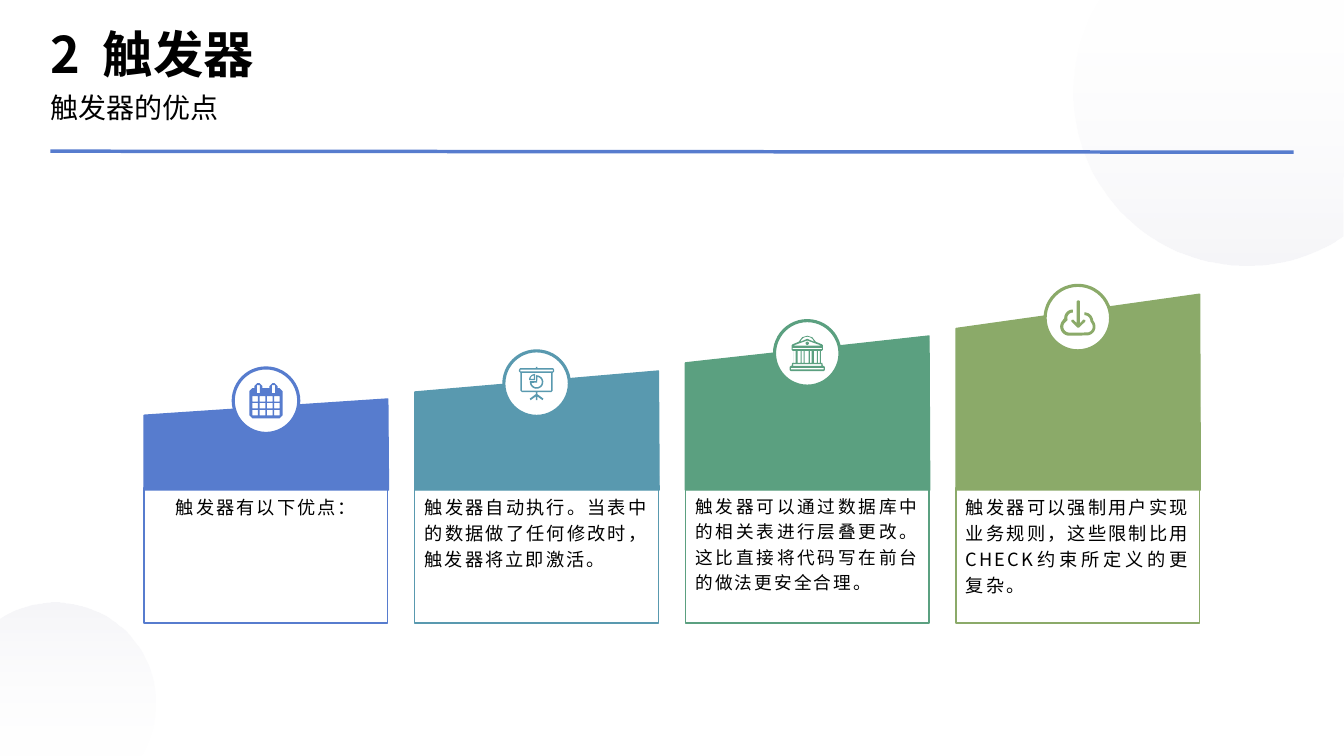
from math import cos, radians, sin

from lxml.etree import SubElement
from pptx import Presentation
from pptx.dml.color import RGBColor
from pptx.enum.shapes import MSO_CONNECTOR, MSO_SHAPE
from pptx.enum.text import MSO_ANCHOR, MSO_AUTO_SIZE, PP_ALIGN
from pptx.oxml.ns import qn
from pptx.util import Pt

FONT = "Noto Sans CJK SC"
BLACK = RGBColor(0x00, 0x00, 0x00)
WHITE = RGBColor(0xFF, 0xFF, 0xFF)
HAZE = RGBColor(0xD8, 0xD8, 0xE4)
BLUE = RGBColor(0x57, 0x7C, 0xCE)
TEAL = RGBColor(0x59, 0x99, 0xAF)
GREEN = RGBColor(0x5B, 0xA0, 0x80)
OLIVE = RGBColor(0x8B, 0xAA, 0x69)

CARD_LEFT, CARD_PITCH, CARD_W = 103, 193.3, 174
BOX_TOP, BOX_H, WEDGE_BOTTOM = 348.5, 96.5, 350
BADGE = 46.8
ICON_UNIT = 0.72


def apply(obj, values):
    for name, value in values.items():
        setattr(obj, name, value)


def arc(cx, cy, r, start, end, steps=16):
    angles = [radians(start + (end - start) * i / steps) for i in range(steps + 1)]
    return [(cx + r * cos(a), cy + r * sin(a)) for a in angles]


def box(x, y, w, h):
    return [(x, y), (x + w, y), (x + w, y + h), (x, y + h)]


def mirrored(half, width):
    return half + [(width - x, y) for x, y in reversed(half)]


def calendar():
    body = mirrored([(20, 5), (20, 3), (23, 0), (25, 0), (28, 3), (28, 5),
                     (30, 5), (33, 8), (33, 32), (30, 35)], 33)
    cells = [box(3 + 7.2 * i, 13 + 6.8 * j, 5.6, 5.4) for j in range(3) for i in range(4)]
    return [body, *cells, box(7.5, 2, 3, 8), box(22.5, 2, 3, 8)]


def board():
    frame = mirrored([(18.2, 0), (18.2, 1.3), (34, 1.3), (35, 3), (35, 4.5),
                      (33.5, 6), (33.5, 23.5), (32, 25), (18.2, 25), (18.2, 27),
                      (24.3, 31.5), (23.5, 33), (18.2, 29.3), (18.2, 33)], 35)
    pie = arc(17.5, 15, 6.7, -90, 180) + [(11, 14), (17, 14), (17, 8)]
    pie_hole = arc(17.5, 15, 5.2, -80, 170) + [(18, 15.5)]
    slice_ = arc(16, 13, 6, 180, 270) + [(16, 13)]
    slice_hole = arc(14.7, 11.8, 3.2, 180, 270) + [(14.7, 11.8)]
    return [frame, box(3, 6, 29, 17.5), box(1.3, 2.8, 32.4, 1.5),
            pie, pie_hole, slice_, slice_hole]


def bank():
    outline = mirrored([(17.5, 0), (22.5, 1.5), (26, 6), (32, 8.5), (33, 9.5),
                        (33, 14), (32, 15), (31, 15), (31, 27), (32.5, 27),
                        (33, 30), (34, 30), (35, 31), (35, 34), (34, 35)], 35)
    bays = [box(x, 15, w, 12) for x, w in
            [(4, 2), (8, 3), (12, 2), (15, 4), (20, 2), (24, 3), (28, 2)]]
    dome = arc(17.5, 8, 7, 197, 343) + [(17.5, 3)]
    roof = [(3.5, 9.8), (17.5, 4.8), (31.5, 9.8)]
    return [outline, *bays, dome, roof, arc(17.5, 7.5, 1.6, 0, 360),
            box(3, 12, 29, 1.2), box(3.5, 28.2, 28, 1.8), box(1.3, 32, 32.4, 1.5)]


def cloud():
    outer = (arc(12.5, 17.5, 8.5, 270, 180) + arc(9, 26, 9, 220, 90)
             + arc(26.3, 26, 8.7, 90, -40) + arc(24, 20.5, 8.7, -10, -90))
    inner = (arc(24, 20.5, 5.9, -90, 0) + arc(26.5, 26, 5.8, -40, 90)
             + arc(9, 26, 5.9, 90, 230) + arc(12.5, 17.5, 5.5, 160, 270))
    arrow = mirrored([(18.7, 0), (19.6, 1), (19.6, 22.5), (23, 19),
                      (25, 19.5), (24.8, 21), (18.7, 27)], 36)
    return [outer + inner, arrow]


def add_outline(sl, contours):
    paths = [[(Pt(x), Pt(y)) for x, y in points] for points in contours]
    fb = sl.shapes.build_freeform(*paths[0][0])
    for i, path in enumerate(paths):
        if i:
            fb.move_to(*path[0])
        fb.add_line_segments(path[1:], close=True)
    sp = fb.convert_to_shape()
    sp.shadow.inherit = False
    return sp


def paint(sp, fill=None, line=None, width=1):
    if fill is None:
        sp.fill.background()
    else:
        sp.fill.solid()
        sp.fill.fore_color.rgb = fill
    if line is None:
        sp.line.fill.background()
    else:
        sp.line.color.rgb = line
        sp.line.width = Pt(width)


def add_preset(sl, kind, x, y, w, h, **colors):
    sp = sl.shapes.add_shape(kind, Pt(x), Pt(y), Pt(w), Pt(h))
    sp.shadow.inherit = False
    paint(sp, **colors)


def add_haze(sl, contour, angle):
    sp = add_outline(sl, [contour])
    paint(sp)
    sp.fill.gradient()
    sp.fill.gradient_angle = angle
    for stop, color in zip(sp.fill.gradient_stops, (WHITE, HAZE)):
        stop.color.rgb = color
    for clr, alpha in zip(sp._element.iter(qn("a:srgbClr")), ("10000", "24000")):
        SubElement(clr, qn("a:alpha"), val=alpha)


def add_rule(sl):
    cn = sl.shapes.add_connector(MSO_CONNECTOR.STRAIGHT, Pt(36), Pt(108), Pt(924), Pt(108.7))
    apply(cn.line, {"width": Pt(2.5)})
    cn.line.color.rgb = BLUE
    SubElement(cn._element.spPr, qn("a:effectLst"))


def write(sp, frame, para, runs):
    tf = sp.text_frame
    apply(tf, {"word_wrap": True, "auto_size": MSO_AUTO_SIZE.NONE, **frame})
    p = tf.paragraphs[0]
    apply(p, {"space_before": Pt(0), **para})
    for text, size, bold, spacing in runs:
        r = p.add_run()
        r.text = text
        apply(r.font, {"size": Pt(size), "bold": bold, "name": FONT})
        r.font.color.rgb = BLACK
        rPr = r._r.get_or_add_rPr()
        rPr.set("spc", str(int(spacing * 100)))
        SubElement(rPr, qn("a:ea"), typeface=FONT)
    return p


def place(sp, x, y, w, h):
    apply(sp, {"left": Pt(x), "top": Pt(y), "width": Pt(w), "height": Pt(h)})


def add_heading(sl):
    flush = dict.fromkeys(["margin_left", "margin_top", "margin_right", "margin_bottom"], 0)
    title, body = sl.placeholders
    place(title, 36, 12, 888, 48)
    write(title, {**flush, "vertical_anchor": MSO_ANCHOR.BOTTOM}, {"alignment": PP_ALIGN.LEFT},
          [("2", 36, True, 0), (" ", 36, True, 8), ("触发器", 36, True, 0)])
    place(body, 36, 60, 888, 36)
    p = write(body, {**flush, "vertical_anchor": MSO_ANCHOR.TOP},
              {"alignment": PP_ALIGN.LEFT, "line_spacing": 1.2},
              [("触发器的优点", 20, False, 0)])
    pPr = p._p.get_or_add_pPr()
    pPr.set("marL", "0")
    pPr.set("indent", "0")
    SubElement(pPr, qn("a:buNone"))


def add_card(sl, index, color, left_y, right_y, badge_y, icon, icon_size, text, size, align):
    x = CARD_LEFT + index * CARD_PITCH
    wedge = [(x + CARD_W, right_y), (x, left_y), (x, WEDGE_BOTTOM),
             (x + CARD_W + 0.5, WEDGE_BOTTOM)]
    paint(add_outline(sl, [wedge]), color, color)
    add_preset(sl, MSO_SHAPE.RECTANGLE, x, BOX_TOP, CARD_W, BOX_H, line=color)
    badge_x = x + (CARD_W - BADGE) / 2
    add_preset(sl, MSO_SHAPE.OVAL, badge_x, badge_y, BADGE, BADGE,
               fill=WHITE, line=color, width=2.25)
    icon_x, icon_y = [start + (BADGE - side * ICON_UNIT) / 2
                      for start, side in zip((badge_x, badge_y), icon_size)]
    contours = [[(icon_x + u * ICON_UNIT, icon_y + v * ICON_UNIT) for u, v in points]
                for points in icon]
    paint(add_outline(sl, contours), color)
    tb = sl.shapes.add_textbox(Pt(x), Pt(351), Pt(CARD_W), Pt(85))
    write(tb, {"margin_left": Pt(7.2), "margin_right": Pt(7.2),
               "margin_top": 0, "margin_bottom": Pt(3.6)},
          {"alignment": align, "line_spacing": 1.2}, [(text, size, False, 1.5)])


def main():
    prs = Presentation()
    apply(prs, {"slide_width": Pt(960), "slide_height": Pt(540)})
    sl = prs.slides.add_slide(prs.slide_layouts[1])
    add_haze(sl, arc(890.6, 66.2, 123.5, 56.1, 212.3, 60) + [(960, 0)], 270)
    add_haze(sl, arc(39.6, 502, 71.3, 236.3, 392.4, 60) + [(0, 540)], 90)
    add_rule(sl)
    add_heading(sl)
    cards = [
        (BLUE, 296.6, 285, 262.8, calendar(), (33, 35),
         "触发器有以下优点：", 13, PP_ALIGN.CENTER),
        (TEAL, 280, 265, 250.6, board(), (35, 33),
         "触发器自动执行。当表中的数据做了任何修改时，触发器将立即激活。", 13, PP_ALIGN.JUSTIFY),
        (GREEN, 259.2, 240, 229, bank(), (35, 35),
         "触发器可以通过数据库中的相关表进行层叠更改。这比直接将代码写在前台的做法更安全合理。",
         12.6, PP_ALIGN.JUSTIFY),
        (OLIVE, 234.7, 210.2, 203.8, cloud(), (35, 35),
         "触发器可以强制用户实现业务规则，这些限制比用CHECK约束所定义的更复杂。",
         13, PP_ALIGN.JUSTIFY),
    ]
    for index, card in enumerate(cards):
        add_card(sl, index, *card)
    prs.save("out.pptx")


if __name__ == "__main__":
    main()
